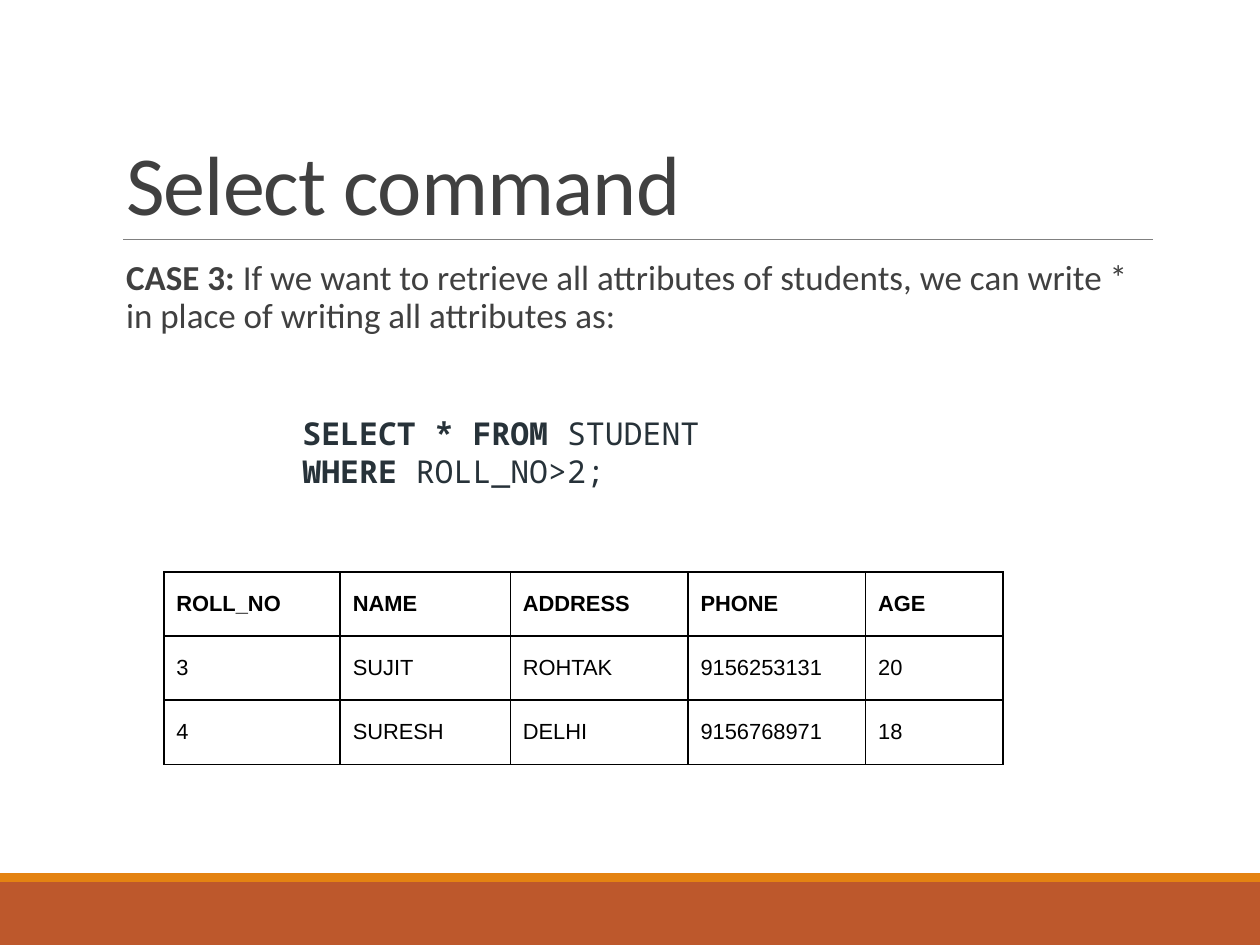
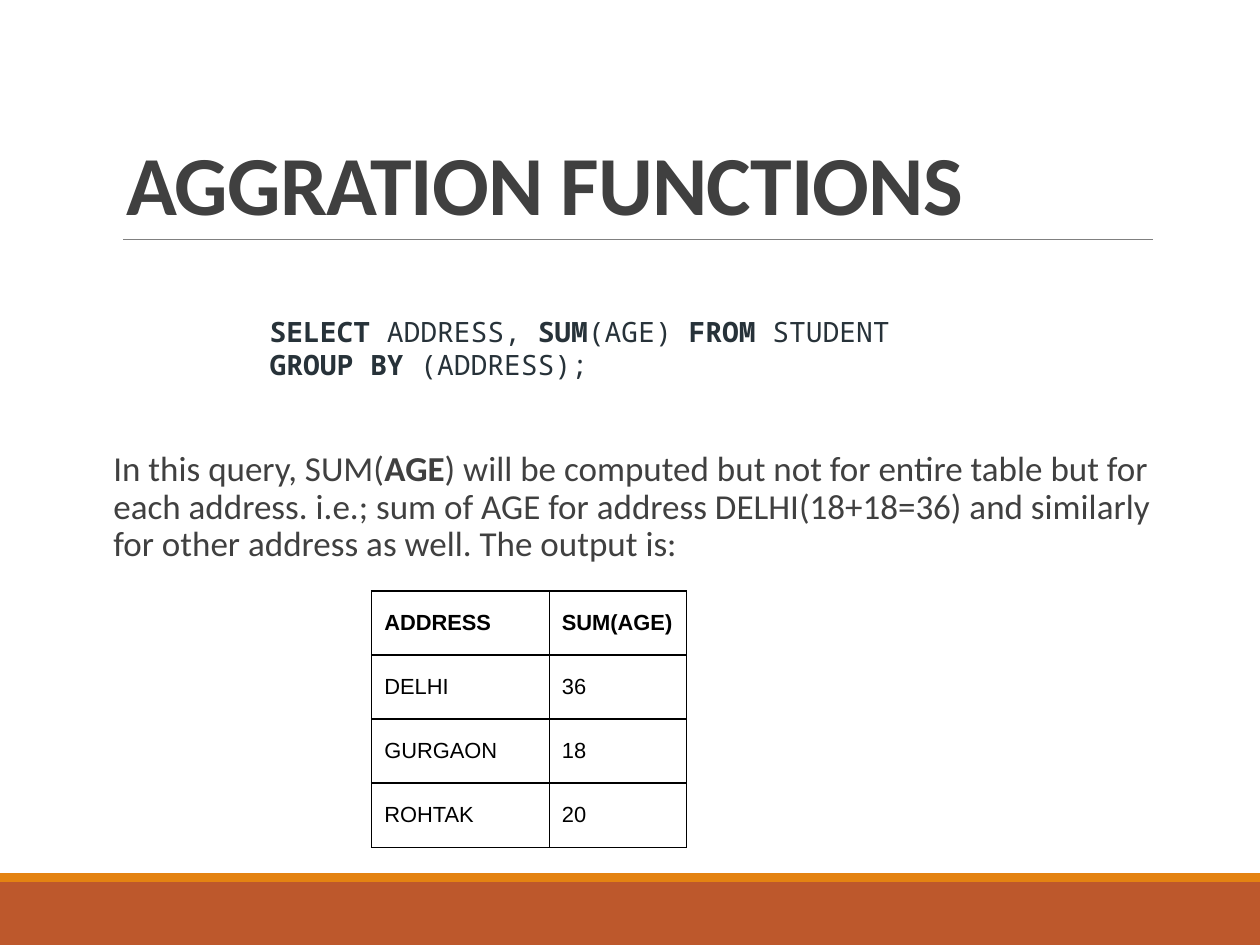
from lxml.etree import SubElement
from pptx import Presentation
from pptx.dml.color import RGBColor
from pptx.enum.shapes import MSO_CONNECTOR, MSO_SHAPE
from pptx.enum.text import MSO_ANCHOR, MSO_AUTO_SIZE, PP_ALIGN
from pptx.oxml.ns import qn
from pptx.util import Inches, Pt

INK, CODE_INK, BLACK, WHITE, RULE = "404040", "273239", "000000", "FFFFFF", "808080"
BANDS = [(7, 0.5, "BD582C"), (6.93, 0.07, "E48312")]
ROW_HEIGHT = 0.5

# Bold passages stand between pairs of asterisks.
SLIDES = [
    dict(
        title="Select command",
        body=["**CASE 3:** If we want to retrieve all attributes of students, "
              "we can write * in place of writing all attributes as:"],
        body_at=(1, 2.02, 8.15, 0.75),
        code=["**SELECT * FROM** STUDENT", "**WHERE** ROLL_NO>2;"],
        code_at=(2.4, 3.28, 4.02, 0.61), code_size=18,
        table=[("ROLL_NO", "NAME", "ADDRESS", "PHONE", "AGE"),
               ("3", "SUJIT", "ROHTAK", "9156253131", "20"),
               ("4", "SURESH", "DELHI", "9156768971", "18")],
        table_at=(1.3, 4.54), widths=(1.4, 1.35, 1.41, 1.41, 1.09),
    ),
    dict(
        title="**AGGRATION FUNCTIONS**",
        body=["In this query, SUM(**AGE**) will be computed but not for entire table "
              "but for each address. i.e.; sum of AGE for address DELHI(18+18=36) and "
              "similarly for other address as well. The output is:"],
        body_at=(0.9, 3.53, 8.25, 1.05),
        code=["**SELECT** ADDRESS, **SUM**(AGE) **FROM** STUDENT",
              "**GROUP BY** (ADDRESS);"],
        code_at=(2.14, 2.49, 7.01, 0.54), code_size=16,
        table=[("ADDRESS", "SUM(AGE)"), ("DELHI", "36"),
               ("GURGAON", "18"), ("ROHTAK", "20")],
        table_at=(2.95, 4.69), widths=(1.41, 1.09),
    ),
]


def rgb(color):
    return RGBColor.from_string(color)


def inches(values):
    return [Inches(v) for v in values]


def write(tf, lines, size, font="Calibri", color=INK, spacing=None, tracking=None):
    for i, line in enumerate(lines):
        p = tf.paragraphs[0] if i == 0 else tf.add_paragraph()
        p.alignment = PP_ALIGN.LEFT
        if spacing:
            p.line_spacing = spacing
        for j, part in enumerate(line.split("**")):
            if not part:
                continue
            r = p.add_run()
            r.text = part
            r.font.size, r.font.name, r.font.bold = Pt(size), font, j % 2 == 1
            r.font.color.rgb = rgb(color)
            if tracking:
                r.font._element.set("spc", str(int(tracking * 100)))


def add_frame(s):
    for top, height, color in BANDS:
        band = s.shapes.add_shape(MSO_SHAPE.RECTANGLE, *inches((0, top, 10, height)))
        band.shadow.inherit = False
        band.fill.solid()
        band.fill.fore_color.rgb = rgb(color)
        band.line.fill.background()
    rule = s.shapes.add_connector(MSO_CONNECTOR.STRAIGHT, *inches((0.98, 1.9, 9.15, 1.9)))
    rule.line.color.rgb = rgb(RULE)
    rule.line.width = Pt(0.5)
    SubElement(rule._element.spPr, qn("a:effectLst"))


def add_title(s, text):
    sp = s.shapes.title
    sp.left, sp.top, sp.width, sp.height = inches((0.9, 0.31, 8.25, 1.59))
    tf = sp.text_frame
    tf.auto_size = MSO_AUTO_SIZE.NONE
    tf.vertical_anchor = MSO_ANCHOR.BOTTOM
    write(tf, [text], 48, spacing=0.85, tracking=-0.5)


def add_text(s, lines, at, size, inset=0, anchor=MSO_ANCHOR.TOP, **fmt):
    tf = s.shapes.add_textbox(*inches(at)).text_frame
    tf.word_wrap = True
    tf.vertical_anchor = anchor
    tf.margin_left = tf.margin_right = 0
    tf.margin_top = tf.margin_bottom = Inches(inset)
    write(tf, lines, size, **fmt)


def add_borders(cell):
    tc_pr = cell._tc.get_or_add_tcPr()
    for side in ("lnL", "lnR", "lnT", "lnB"):
        ln = SubElement(tc_pr, qn(f"a:{side}"), w=str(Pt(1)))
        SubElement(SubElement(ln, qn("a:solidFill")), qn("a:srgbClr"), val=BLACK)


def add_result_table(s, rows, at, widths):
    size = (sum(widths), ROW_HEIGHT * len(rows))
    table = s.shapes.add_table(len(rows), len(widths), *inches(at + size)).table
    table.first_row = table.horz_banding = False
    for column, width in zip(table.columns, widths):
        column.width = Inches(width)
    for i, row in enumerate(rows):
        for j, value in enumerate(row):
            cell = table.cell(i, j)
            cell.vertical_anchor = MSO_ANCHOR.MIDDLE
            cell.margin_left = cell.margin_right = Inches(0.1)
            cell.margin_top = cell.margin_bottom = Inches(0.15)
            add_borders(cell)
            cell.fill.solid()
            cell.fill.fore_color.rgb = rgb(WHITE)
            text = f"**{value}**" if i == 0 else value
            write(cell.text_frame, [text], 12.5, font="Arial", color=BLACK)


def main():
    prs = Presentation()
    prs.slide_width, prs.slide_height = inches((10, 7.5))
    for c in SLIDES:
        s = prs.slides.add_slide(prs.slide_layouts[5])
        add_frame(s)
        add_title(s, c["title"])
        add_text(s, c["body"], c["body_at"], 20, inset=0.05, spacing=0.9)
        add_text(s, c["code"], c["code_at"], c["code_size"], anchor=MSO_ANCHOR.MIDDLE,
                 font="Noto Sans Mono", color=CODE_INK)
        add_result_table(s, c["table"], c["table_at"], c["widths"])
    prs.save("out.pptx")


if __name__ == "__main__":
    main()
